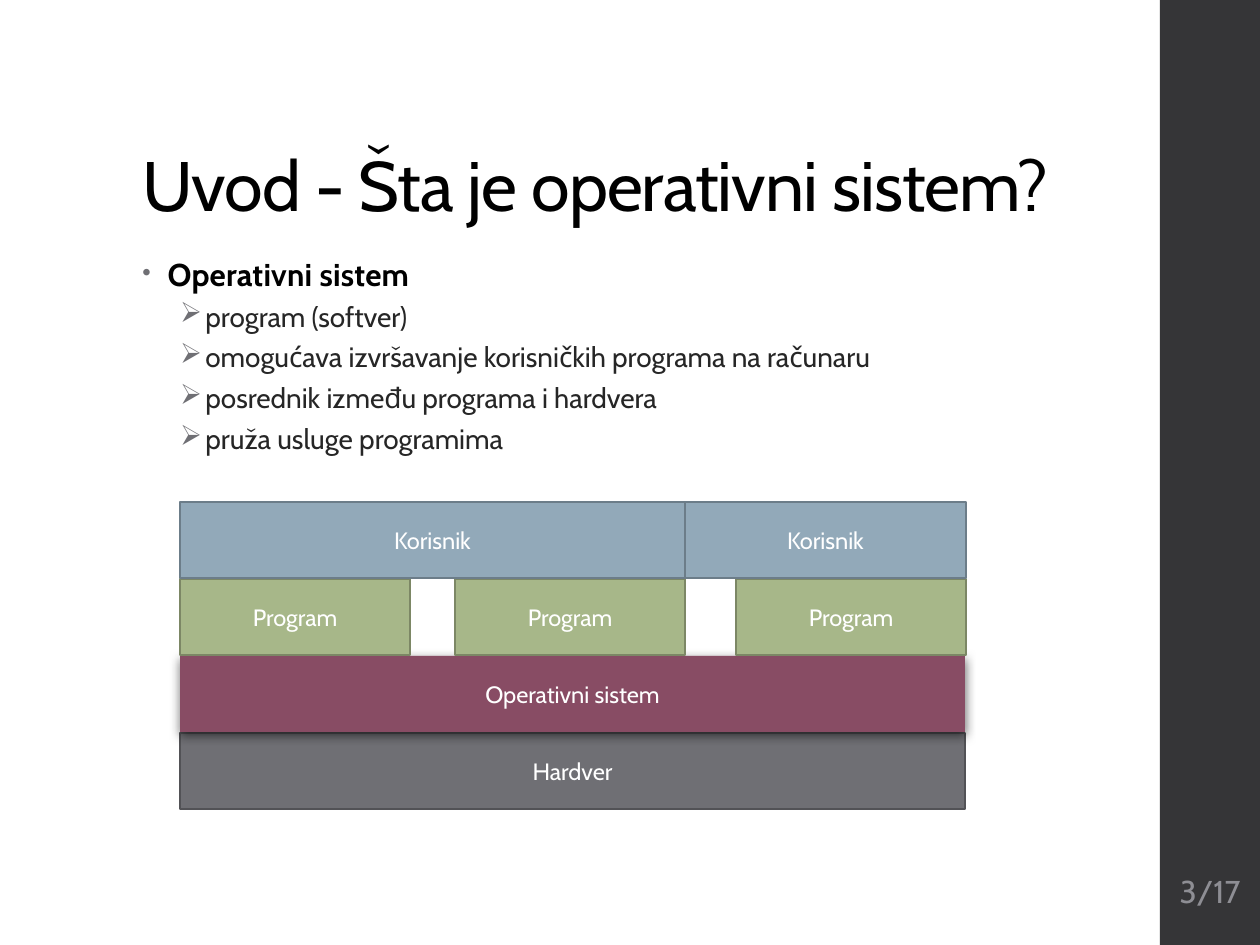
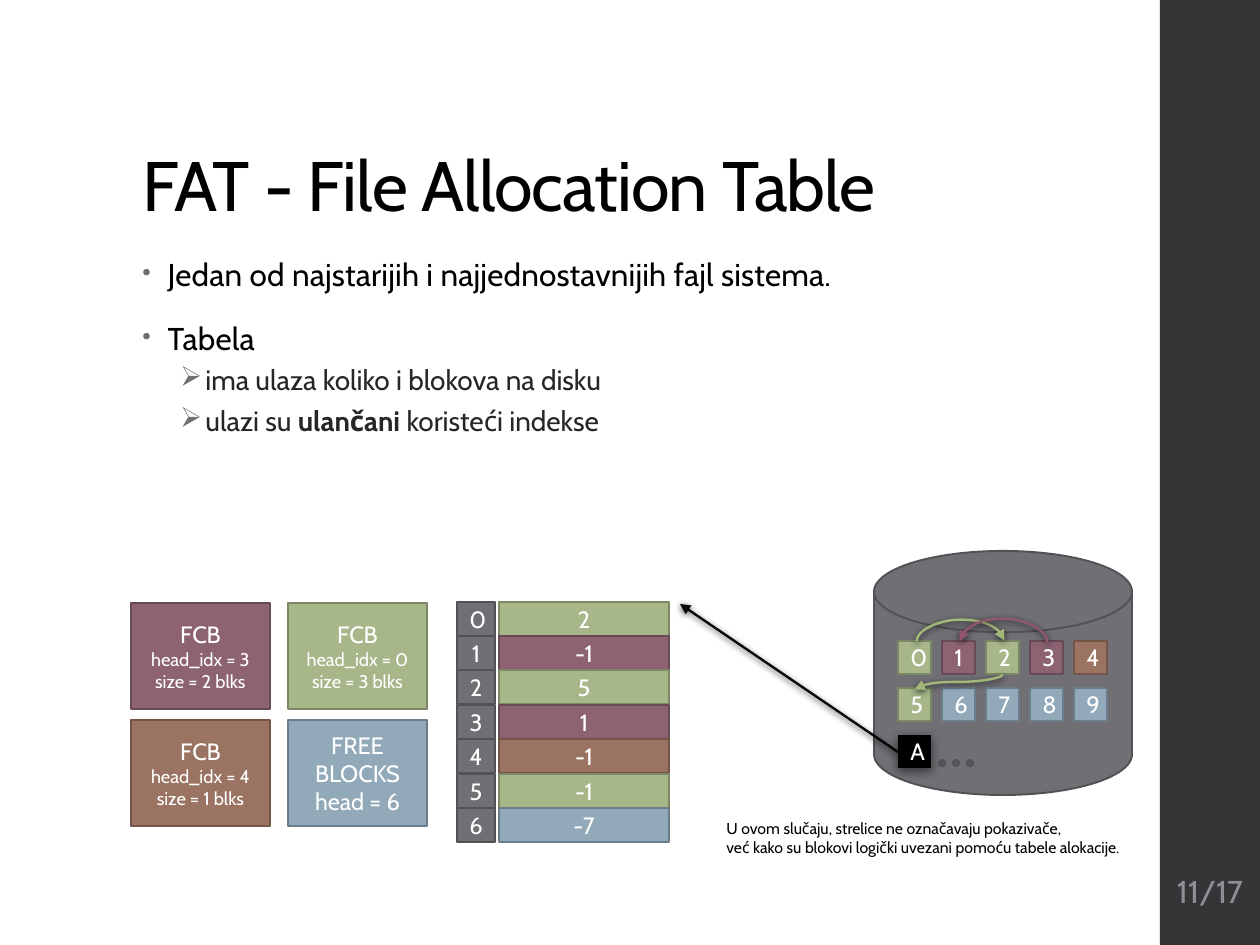
"""Build two slides on operating systems and the FAT file system."""
from dataclasses import dataclass
from typing import NamedTuple

from lxml import etree
from pptx import Presentation
from pptx import util as u
from pptx.dml.color import RGBColor
from pptx.enum import shapes, text
from pptx.oxml import ns

PX_PER_INCH = 126
FONT = "Cabin"
WHITE = RGBColor(0xFF, 0xFF, 0xFF)
BLACK = RGBColor(0x00, 0x00, 0x00)
BODY_GREY = RGBColor(0x26, 0x26, 0x26)
BAND_GREY = RGBColor(0x35, 0x35, 0x37)
NUMBER_GREY = RGBColor(0x8E, 0x8E, 0x94)
BULLET_GREY = RGBColor(0x6F, 0x6F, 0x74)
GREEN_ARROW = RGBColor(0xA7, 0xBE, 0x7B)
PLUM_ARROW = RGBColor(0x94, 0x57, 0x6F)
LABEL_SIZE = 13.5
DETAIL_SIZE = 10.5


class Paint(NamedTuple):
    """Fill colour, edge colour if any, and whether a shadow is cast."""

    fill: RGBColor
    edge: RGBColor | None = None
    shadow: bool = False


GREY = Paint(BULLET_GREY, RGBColor(0x52, 0x52, 0x56))
DOT = Paint(RGBColor(0x59, 0x59, 0x59), GREY.edge)
GREEN = Paint(RGBColor(0xA7, 0xB7, 0x89), RGBColor(0x7C, 0x87, 0x65))
BLUE = Paint(RGBColor(0x92, 0xA9, 0xB9), RGBColor(0x6C, 0x7D, 0x89))
PLUM = Paint(RGBColor(0x8D, 0x63, 0x74), RGBColor(0x68, 0x49, 0x56))
BROWN = Paint(RGBColor(0x9B, 0x73, 0x62), RGBColor(0x73, 0x55, 0x49))
SYSTEM = Paint(RGBColor(0x88, 0x4C, 0x64), shadow=True)
ALLOCATION = Paint(BLACK, shadow=True)
BAND = Paint(BAND_GREY)


class Area(NamedTuple):
    """A rectangle in px."""

    left: int
    top: int
    width: int
    height: int


@dataclass(frozen=True)
class Block:
    """A painted shape with centred lines of text."""

    area: Area
    paint: Paint
    lines: tuple[str, ...] = ()
    detail_size: float = LABEL_SIZE
    kind: shapes.MSO_SHAPE = shapes.MSO_SHAPE.RECTANGLE


@dataclass(frozen=True)
class Arrow:
    """An arrow from start to end, optionally curved and turned about its centre."""

    start: tuple[int, int]
    end: tuple[int, int]
    color: RGBColor
    rotation: int = 0
    bend: float | None = None


class Level(NamedTuple):
    """The look of one bullet level."""

    margin: float
    line: float
    before: int
    after: int
    mark: str
    mark_size: int
    size: int
    color: RGBColor
    tracking: int


class Item(NamedTuple):
    """A bullet whose spans are plain and bold in turn."""

    level: int
    spans: tuple[str, ...]


LEVELS = (
    Level(0.2, 0.95, 14, 2, "•", 80, 18, BLACK, 10),
    Level(0.5, 0.9, 3, 3, "➢", 100, 16, BODY_GREY, 0),
)


def px(length: float) -> int:
    """Turn px into EMU."""
    return round(length * u.Inches(1) / PX_PER_INCH)


def emu(area: Area) -> list[int]:
    """Turn a px rectangle into EMU."""
    return [px(length) for length in area]


def child(parent, tag: str, **attributes):
    """Append a DrawingML element."""
    return etree.SubElement(parent, ns.qn(tag), {k: str(v) for k, v in attributes.items()})


def set_font(para, size: float, color: RGBColor, tracking: int = 0) -> None:
    """Set the font that all runs of a paragraph share."""
    para.font.name = FONT
    para.font.size = u.Pt(size)
    para.font.color.rgb = color
    if tracking:
        para._p.get_or_add_pPr().find(ns.qn("a:defRPr")).set("spc", str(tracking))


def cast_shadow(properties, opacity: int, blur: float, distance: float) -> None:
    """Give a shape or connector a black shadow falling downwards."""
    effects = properties.find(ns.qn("a:effectLst"))
    if effects is None:
        effects = child(properties, "a:effectLst")
    shadow = child(effects, "a:outerShdw", blurRad=u.Pt(blur), dist=u.Pt(distance),
                   dir=5400000, algn="ctr", rotWithShape=0)
    child(child(shadow, "a:srgbClr", val=BLACK), "a:alpha", val=opacity * 1000)


def draw_block(page, block: Block) -> None:
    """Draw one painted shape."""
    box = page.shapes.add_shape(block.kind, *emu(block.area))
    box.shadow.inherit = False
    box.fill.solid()
    box.fill.fore_color.rgb = block.paint.fill
    if block.paint.edge is None:
        box.line.fill.background()
    else:
        box.line.color.rgb = block.paint.edge
        box.line.width = u.Pt(1.1)
    if block.paint.shadow:
        cast_shadow(box._element.spPr, 55, 6, 2)
    frame = box.text_frame
    frame.vertical_anchor = text.MSO_ANCHOR.MIDDLE
    for index, line in enumerate(block.lines):
        para = frame.add_paragraph() if index else frame.paragraphs[0]
        para.text = line
        para.alignment = text.PP_ALIGN.CENTER
        set_font(para, block.detail_size if index else LABEL_SIZE, WHITE)


def draw_arrow(page, arrow: Arrow) -> None:
    """Draw one arrow with a triangular head."""
    kind = shapes.MSO_CONNECTOR.STRAIGHT if arrow.bend is None else shapes.MSO_CONNECTOR.CURVE
    line = page.shapes.add_connector(kind, *(px(n) for n in arrow.start + arrow.end))
    line.line.color.rgb = arrow.color
    line.line.width = u.Pt(1.35)
    properties = line._element.spPr
    if arrow.bend is not None:
        properties.find(ns.qn("a:xfrm")).set("rot", str(arrow.rotation * 60000))
        guides = properties.find(ns.qn("a:prstGeom")).find(ns.qn("a:avLst"))
        child(guides, "a:gd", name="adj1", fmla=f"val {round(arrow.bend * 100000)}")
    stroke = properties.find(ns.qn("a:ln"))
    child(next(stroke.iter(ns.qn("a:srgbClr"))), "a:alpha", val=95000)
    child(stroke, "a:tailEnd", type="triangle")
    cast_shadow(properties, 75, 4, 1.2)


def add_text(page, area: Area):
    """Add a wrapping text box and return its frame."""
    frame = page.shapes.add_textbox(*emu(area)).text_frame
    frame.word_wrap = True
    return frame


def add_bullets(page, items: list[Item]) -> None:
    """Write the two-level list below the title."""
    frame = add_text(page, Area(130, 252, 940, 600))
    for index, item in enumerate(items):
        level = LEVELS[item.level]
        para = frame.add_paragraph() if index else frame.paragraphs[0]
        para.level = item.level
        para.line_spacing = level.line
        para.space_before = u.Pt(level.before)
        para.space_after = u.Pt(level.after)
        properties = para._p.get_or_add_pPr()
        properties.set("marL", str(u.Inches(level.margin)))
        properties.set("indent", str(u.Inches(-0.2)))
        child(child(properties, "a:buClr"), "a:srgbClr", val=BULLET_GREY)
        child(properties, "a:buSzPct", val=level.mark_size * 1000)
        child(properties, "a:buChar", char=level.mark)
        set_font(para, level.size, level.color, level.tracking)
        for position, words in enumerate(item.spans):
            if words:
                span = para.add_run()
                span.text = words
                if position % 2:
                    span.font.bold = True


def add_page(deck, heading: str, number: str, items: list[Item]):
    """Add a slide with its band, title, bullets and page number."""
    page = deck.slides.add_slide(deck.slide_layouts[5])
    draw_block(page, Block(Area(1160, 0, 100, 945), BAND))
    title = page.shapes.title
    title.left, title.top, title.width, title.height = emu(Area(130, 50, 1002, 183))
    frame = title.text_frame
    frame.auto_size = text.MSO_AUTO_SIZE.NONE
    frame.vertical_anchor = text.MSO_ANCHOR.BOTTOM
    para = frame.paragraphs[0]
    para.text = heading
    para.alignment = text.PP_ALIGN.LEFT
    para.line_spacing = 0.9
    set_font(para, 40, BLACK, -50)
    add_bullets(page, items)
    frame = add_text(page, Area(1163, 850, 94, 82))
    frame.margin_left = frame.margin_right = px(4)
    frame.vertical_anchor = text.MSO_ANCHOR.MIDDLE
    para = frame.paragraphs[0]
    para.text = number
    para.alignment = text.PP_ALIGN.CENTER
    set_font(para, 18, NUMBER_GREY)
    return page


def build_intro(deck) -> None:
    """Build the slide on what an operating system is."""
    page = add_page(deck, "Uvod - Šta je operativni sistem?", "3/17", [
        Item(0, ("", "Operativni sistem")),
        Item(1, ("program (softver)",)),
        Item(1, ("omogućava izvršavanje korisničkih programa na računaru",)),
        Item(1, ("posrednik između programa i hardvera",)),
        Item(1, ("pruža usluge programima",)),
    ])
    layers = (
        ("Hardver", GREY, ((180, 785),)),
        ("Operativni sistem", SYSTEM, ((180, 785),)),
        ("Program", GREEN, ((180, 230), (455, 230), (736, 230))),
        ("Korisnik", BLUE, ((180, 505), (685, 281))),
    )
    for depth, (label, paint, spans) in enumerate(layers):
        for left, width in spans:
            draw_block(page, Block(Area(left, 733 - 77 * depth, width, 76), paint, (label,)))


def build_fat(deck) -> None:
    """Build the slide on the file allocation table."""
    page = add_page(deck, "FAT - File Allocation Table", "11/17", [
        Item(0, ("Jedan od najstarijih i najjednostavnijih fajl sistema.",)),
        Item(0, ("Tabela",)),
        Item(1, ("ima ulaza koliko i blokova na disku",)),
        Item(1, ("ulazi su ", "ulančani", " koristeći indekse")),
    ])
    draw_block(page, Block(Area(874, 551, 258, 244), GREY,
                           kind=shapes.MSO_SHAPE.FLOWCHART_MAGNETIC_DISK))
    owners = (GREEN, PLUM, GREEN, PLUM, BROWN, GREEN, BLUE, BLUE, BLUE, BLUE)
    disk_blocks = [(str(i), paint) for i, paint in enumerate(owners)] + [("A", ALLOCATION)]
    for index, (label, paint) in enumerate(disk_blocks):
        row, column = divmod(index, 5)
        area = Area(898 + 44 * column, 641 + 47 * row, 33, 33)
        draw_block(page, Block(area, paint, (label,)))
    for index in range(3):
        draw_block(page, Block(Area(939 + 14 * index, 760, 6, 6), DOT,
                               kind=shapes.MSO_SHAPE.OVAL))
    for arrow in (
        Arrow((961, 685), (960, 597), GREEN_ARROW, 90, 22),
        Arrow((951, 638), (966, 726), GREEN_ARROW, 90, 0.5),
        Arrow((1003, 686), (1004, 598), PLUM_ARROW, 270, 24),
        Arrow((898, 752), (680, 604), BLACK),
    ):
        draw_arrow(page, arrow)

    entries = ("2", "-1", "5", "1", "-1", "-1", "-7")
    for index, (entry, paint) in enumerate(zip(entries, owners)):
        top = 602 + 241 * index // len(entries)
        draw_block(page, Block(Area(499, top, 170, 34), paint, (entry,)))
        draw_block(page, Block(Area(457, top, 38, 34), GREY, (str(index),)))

    cards = (
        (PLUM, ("FCB", "head_idx = 3", "size = 2 blks"), DETAIL_SIZE),
        (GREEN, ("FCB", "head_idx = 0", "size = 3 blks"), DETAIL_SIZE),
        (BROWN, ("FCB", "head_idx = 4", "size = 1 blks"), DETAIL_SIZE),
        (BLUE, ("FREE BLOCKS", "head = 6"), LABEL_SIZE),
    )
    for index, (paint, lines, size) in enumerate(cards):
        row, column = divmod(index, 2)
        area = Area(131 + 157 * column, 603 + 117 * row, 139, 106)
        draw_block(page, Block(area, paint, lines, size))
    para = add_text(page, Area(714, 813, 545, 70)).paragraphs[0]
    para.text = ("U ovom slučaju, strelice ne označavaju pokazivače,\n"
                 "već kako su blokovi logički uvezani pomoću tabele alokacije.")
    set_font(para, 9, BLACK)


def main() -> None:
    """Build and save the deck."""
    deck = Presentation()
    deck.slide_width, deck.slide_height = px(1260), px(945)
    build_intro(deck)
    build_fat(deck)
    deck.save("out.pptx")


if __name__ == "__main__":
    main()
